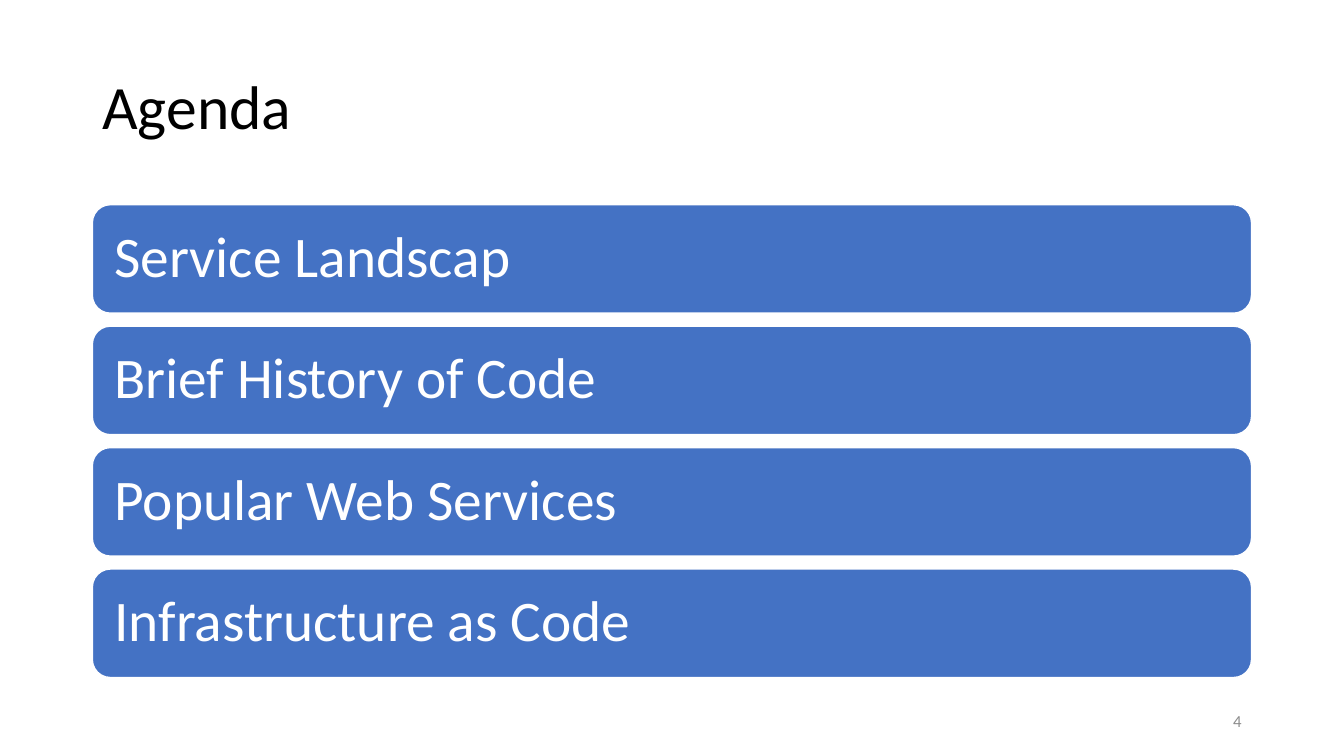
from pptx import Presentation
from pptx.dml.color import RGBColor
from pptx.enum.shapes import MSO_SHAPE
from pptx.enum.text import MSO_ANCHOR, PP_ALIGN
from pptx.util import Pt

BLACK = RGBColor(0x00, 0x00, 0x00)
WHITE = RGBColor(0xFF, 0xFF, 0xFF)
BLUE = RGBColor(0x44, 0x72, 0xC4)
GRAY = RGBColor(0x8C, 0x8C, 0x8C)

TOPICS = [
    "Service Landscap",
    "Brief History of Code",
    "Popular Web Services",
    "Infrastructure as Code",
]
LEFT = 66
BAR_WIDTH = 828
BAR_HEIGHT = 77.5
BAR_TOP = 146.25
BAR_PITCH = 86.75


def write(shape, text, font="Calibri", size=12, color=BLACK,
          align=PP_ALIGN.LEFT, spacing=1.0, inset=7.2):
    frame = shape.text_frame
    frame.word_wrap = True
    frame.vertical_anchor = MSO_ANCHOR.MIDDLE
    frame.margin_left = frame.margin_right = Pt(inset)
    frame.margin_top = frame.margin_bottom = Pt(3.6)
    para = frame.paragraphs[0]
    para.alignment = align
    para.line_spacing = spacing
    span = para.add_run()
    span.text = text
    span.font.name = font
    span.font.size = Pt(size)
    span.font.color.rgb = color


class AgendaPage:
    def __init__(self, page, font="Calibri"):
        self.page = page
        self.font = font

    def label(self, text, left, top, width, height, **style):
        box = self.page.shapes.add_textbox(Pt(left), Pt(top), Pt(width), Pt(height))
        write(box, text, font=self.font, **style)

    def bar(self, text, left, top, width, height):
        box = self.page.shapes.add_shape(
            MSO_SHAPE.ROUNDED_RECTANGLE, Pt(left), Pt(top), Pt(width), Pt(height))
        box.shadow.inherit = False
        box.fill.solid()
        box.fill.fore_color.rgb = BLUE
        box.line.color.rgb = WHITE
        box.line.width = Pt(1)
        write(box, text, font=self.font, size=41, color=WHITE,
              spacing=0.9, inset=12)


def main():
    deck = Presentation()
    deck.slide_width = Pt(960)
    deck.slide_height = Pt(540)
    agenda = AgendaPage(deck.slides.add_slide(deck.slide_layouts[6]))

    agenda.label("Agenda", LEFT, 28, 391.5, 101, size=44, spacing=0.9)
    for index, topic in enumerate(TOPICS):
        agenda.bar(topic, LEFT, BAR_TOP + index * BAR_PITCH, BAR_WIDTH, BAR_HEIGHT)
    agenda.label("4", 678, 500.5, 216, 28.75, color=GRAY, align=PP_ALIGN.RIGHT)

    deck.save("out.pptx")


if __name__ == "__main__":
    main()
